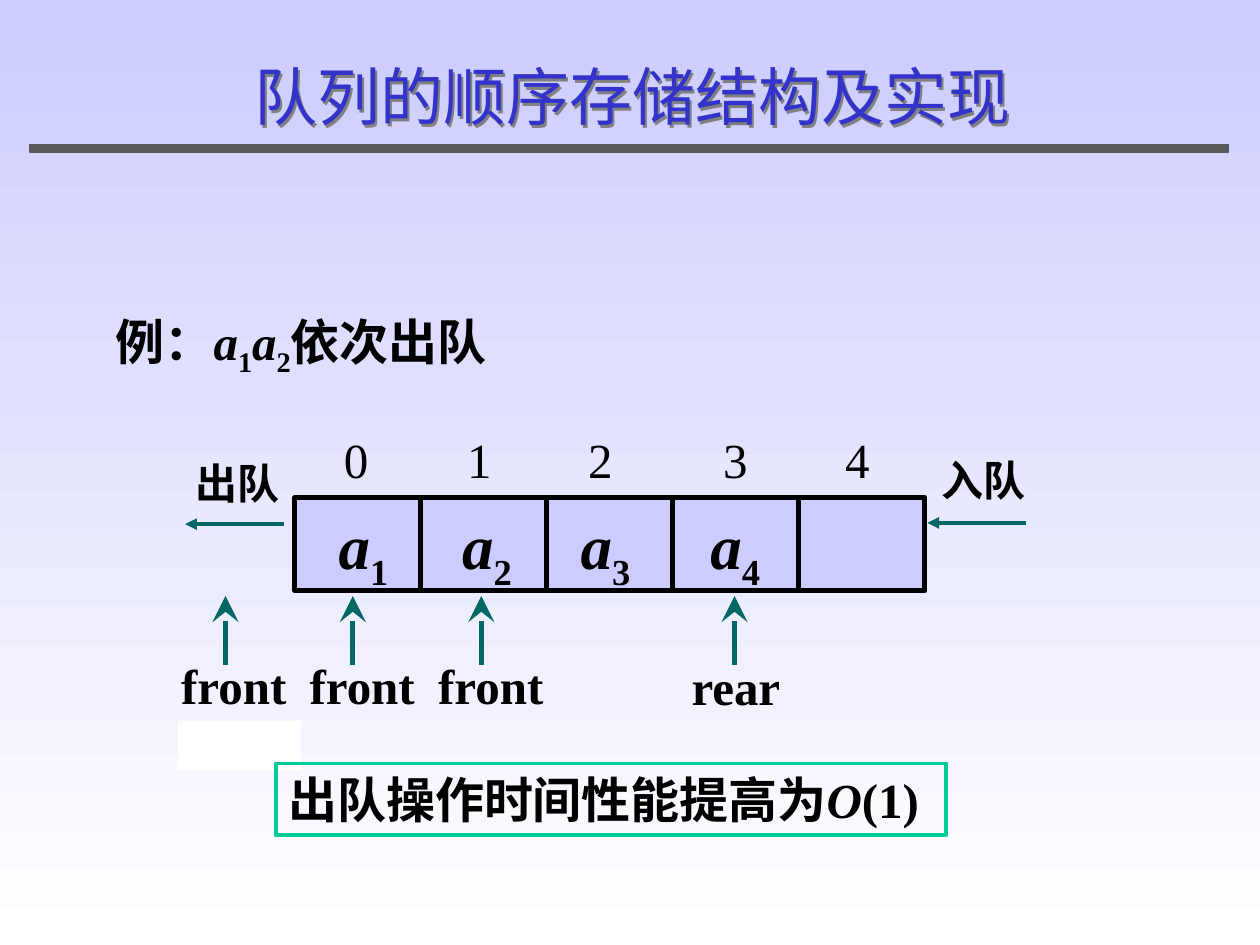
"""Build the slide on sequential queue storage: two elements leave the queue."""
import dataclasses
import typing

import lxml.etree
import pptx
import pptx.dml.color
import pptx.enum.shapes
import pptx.enum.text
import pptx.oxml.ns
import pptx.util

RGBColor = pptx.dml.color.RGBColor
Shapes = pptx.enum.shapes.MSO_SHAPE
Align = pptx.enum.text.PP_ALIGN

LAVENDER = RGBColor(0xCC, 0xCC, 0xFF)
WHITE = RGBColor(0xFF, 0xFF, 0xFF)
BLACK = RGBColor(0x00, 0x00, 0x00)
GREY = RGBColor(0x59, 0x59, 0x59)
SHADOW = RGBColor(0x80, 0x80, 0x80)
TEAL = RGBColor(0x00, 0x66, 0x66)
GREEN = RGBColor(0x00, 0xCC, 0x99)
BLUE = RGBColor(0x33, 0x33, 0xCC)

LATIN = "Times New Roman"
CHINESE = "Noto Sans CJK SC"
COLUMNS, ROWS = 10, 7.5
QUEUE_LEFT, QUEUE_TOP, CELL_HEIGHT, CAPACITY = 2.34, 3.95, 0.74, 5
INDEX_STOPS = (0.98, 1.94, 3.01, 3.98)


@dataclasses.dataclass(frozen=True)
class Area:
    """A rectangle in grid columns and rows."""
    left: float
    top: float
    width: float
    height: float

    def emu(self) -> list[int]:
        """Return left, top, width and height as slide lengths."""
        return [grid(value) for value in dataclasses.astuple(self)]


@dataclasses.dataclass(frozen=True)
class Span:
    """A stretch of text in one style."""
    text: str
    italic: bool = False
    subscript: bool = False


@dataclasses.dataclass(frozen=True)
class Style:
    """The look shared by all spans of a box."""
    size: float = 28
    bold: bool = True
    color: RGBColor = BLACK
    font: str = LATIN
    align: Align = Align.LEFT
    shadow: bool = False
    wrap: bool = True


@dataclasses.dataclass(frozen=True)
class Arrow:
    """A straight arrow between two grid points."""
    start: tuple[float, float]
    end: tuple[float, float]
    width: float
    head: str
    head_size: str = "med"


@dataclasses.dataclass(frozen=True)
class Pointer:
    """A label under an upright arrow."""
    label: str
    arrow_column: float
    text_column: float
    text_row: float = 5.15


def grid(value: float) -> int:
    """Turn grid units of one inch into a slide length."""
    return pptx.util.Inches(value)


def add_xml(parent: typing.Any, tag: str, **attributes: str) -> typing.Any:
    """Append a DrawingML element."""
    return lxml.etree.SubElement(parent, pptx.oxml.ns.qn(tag), attributes)


def write(box: typing.Any, spans: typing.Iterable[Span], style: Style) -> typing.Any:
    """Fill a box with styled spans and return its paragraph."""
    frame = box.text_frame
    frame.word_wrap = style.wrap
    frame.vertical_anchor = pptx.enum.text.MSO_ANCHOR.TOP
    para = frame.paragraphs[0]
    para.alignment = style.align
    for span in spans:
        run = para.add_run()
        run.text = span.text
        run.font.size = pptx.util.Pt(style.size)
        run.font.bold = style.bold
        run.font.italic = span.italic
        run.font.color.rgb = style.color
        run.font.name = style.font
        properties = run.font._element
        add_xml(properties, "a:ea", typeface=CHINESE)
        if span.subscript:
            properties.set("baseline", "-25000")
    if style.shadow:
        effects = add_xml(box._element.spPr, "a:effectLst")
        shadow = add_xml(effects, "a:outerShdw", dist="25400", dir="2700000")
        add_xml(shadow, "a:srgbClr", val=str(SHADOW))
    return para


def add_text(page: typing.Any, area: Area, spans: typing.Iterable[Span],
             style: Style = Style()) -> typing.Any:
    """Add a text box and return its paragraph."""
    return write(page.shapes.add_textbox(*area.emu()), spans, style)


def add_box(page: typing.Any, area: Area, fill: RGBColor | None = None,
            line: RGBColor | None = None, width: float = 0) -> typing.Any:
    """Add a flat rectangle."""
    box = page.shapes.add_shape(Shapes.RECTANGLE, *area.emu())
    box.shadow.inherit = False
    if fill is None:
        box.fill.background()
    else:
        box.fill.solid()
        box.fill.fore_color.rgb = fill
    if line is None:
        box.line.fill.background()
    else:
        box.line.color.rgb = line
        box.line.width = pptx.util.Pt(width)
    return box


def add_arrow(page: typing.Any, arrow: Arrow) -> None:
    """Add a teal arrow."""
    connector = page.shapes.add_connector(
        pptx.enum.shapes.MSO_CONNECTOR.STRAIGHT,
        *map(grid, arrow.start + arrow.end))
    connector.line.color.rgb = TEAL
    connector.line.width = pptx.util.Pt(arrow.width)
    add_xml(connector.line._get_or_add_ln(), "a:tailEnd", type=arrow.head,
            w=arrow.head_size, len=arrow.head_size)
    add_xml(connector._element.spPr, "a:effectLst")


def add_pointer(page: typing.Any, pointer: Pointer) -> None:
    """Add a queue pointer with its arrow."""
    column = pointer.arrow_column
    add_arrow(page, Arrow((column, 5.28), (column, 4.73), 3, "stealth", "lg"))
    add_text(page, Area(pointer.text_column, pointer.text_row, 1.13, 0.57),
             [Span(pointer.label)])


def add_frame(page: typing.Any) -> None:
    """Add the background, title and rule."""
    fill = page.background.fill
    fill.gradient()
    fill.gradient_angle = 270
    for stop, color, position in zip(fill.gradient_stops, (LAVENDER, WHITE), (0, 1)):
        stop.color.rgb = color
        stop.position = position
    builder = page.shapes.build_freeform(grid(0.23), grid(1.15))
    builder.add_line_segments(
        [(grid(x), grid(y)) for x, y in ((9.75, 1.15), (9.75, 1.21), (0.23, 1.21))])
    rule = builder.convert_to_shape()
    rule.shadow.inherit = False
    rule.fill.solid()
    rule.fill.fore_color.rgb = rule.line.color.rgb = GREY
    rule.line.width = pptx.util.Pt(0.5)
    add_text(page, Area(0.47, 0.41, 9.1, 0.7), [Span("队列的顺序存储结构及实现")],
             Style(36, False, BLUE, CHINESE, Align.CENTER, True))


def add_queue(page: typing.Any) -> None:
    """Add the cells, indexes, elements and in and out arrows."""
    for index in range(CAPACITY):
        add_box(page, Area(QUEUE_LEFT + index, QUEUE_TOP, 1, CELL_HEIGHT),
                LAVENDER, BLACK, 3)
    para = add_text(page, Area(2.63, 3.36, 4.68, 0.57),
                    [Span("\t".join(map(str, range(CAPACITY))))], Style(bold=False))
    stops = add_xml(para._p.get_or_add_pPr(), "a:tabLst")
    for stop in INDEX_STOPS:
        add_xml(stops, "a:tab", pos=str(grid(stop)), algn="l")
    for number, column in enumerate((2.59, 3.57, 4.51, 5.54), 1):
        add_text(page, Area(column, 3.97, 0.64, 0.79),
                 [Span("a", italic=True), Span(str(number), subscript=True)], Style(36))
    for label, area, right, row in (("入队", Area(7.37, 3.56, 1.08, 0.5), 8.14, 4.15),
                                    ("出队", Area(1.45, 3.58, 1, 0.5), 2.25, 4.16)):
        add_arrow(page, Arrow((right, row), (right - 0.78, row), 2.25, "triangle"))
        add_text(page, area, [Span(label)], Style(24))


def main() -> None:
    """Build and save the deck."""
    deck = pptx.Presentation()
    deck.slide_width, deck.slide_height = grid(COLUMNS), grid(ROWS)
    page = deck.slides.add_slide(deck.slide_layouts[6])
    add_frame(page)
    first, second = ((Span("a", italic=True), Span(n, subscript=True)) for n in "12")
    add_text(page, Area(0.82, 2.42, 3.69, 0.63),
             [Span("例："), *first, *second, Span("依次出队")])
    add_queue(page)
    add_box(page, Area(1.41, 5.72, 0.98, 0.39), WHITE)
    for pointer in (Pointer("rear", 5.83, 5.39, 5.16), Pointer("front", 1.79, 1.34),
                    Pointer("front", 2.8, 2.36), Pointer("front", 3.82, 3.38)):
        add_pointer(page, pointer)
    summary = add_box(page, Area(2.19, 6.06, 5.32, 0.57), line=GREEN, width=2.25)
    write(summary, [Span("出队操作时间性能提高为"), Span("O", italic=True), Span("(1)")],
          Style(wrap=False))
    deck.save("out.pptx")


if __name__ == "__main__":
    main()
